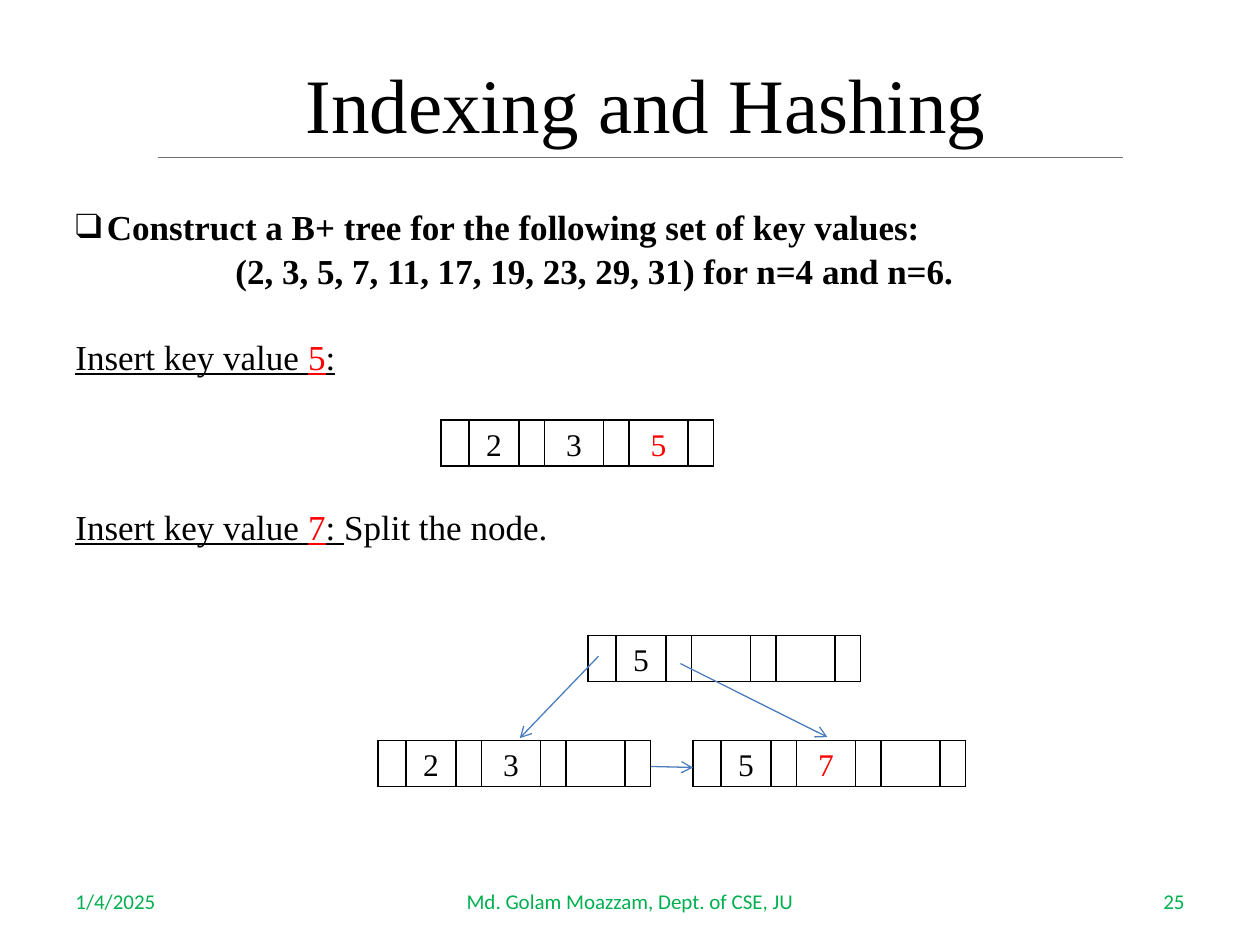
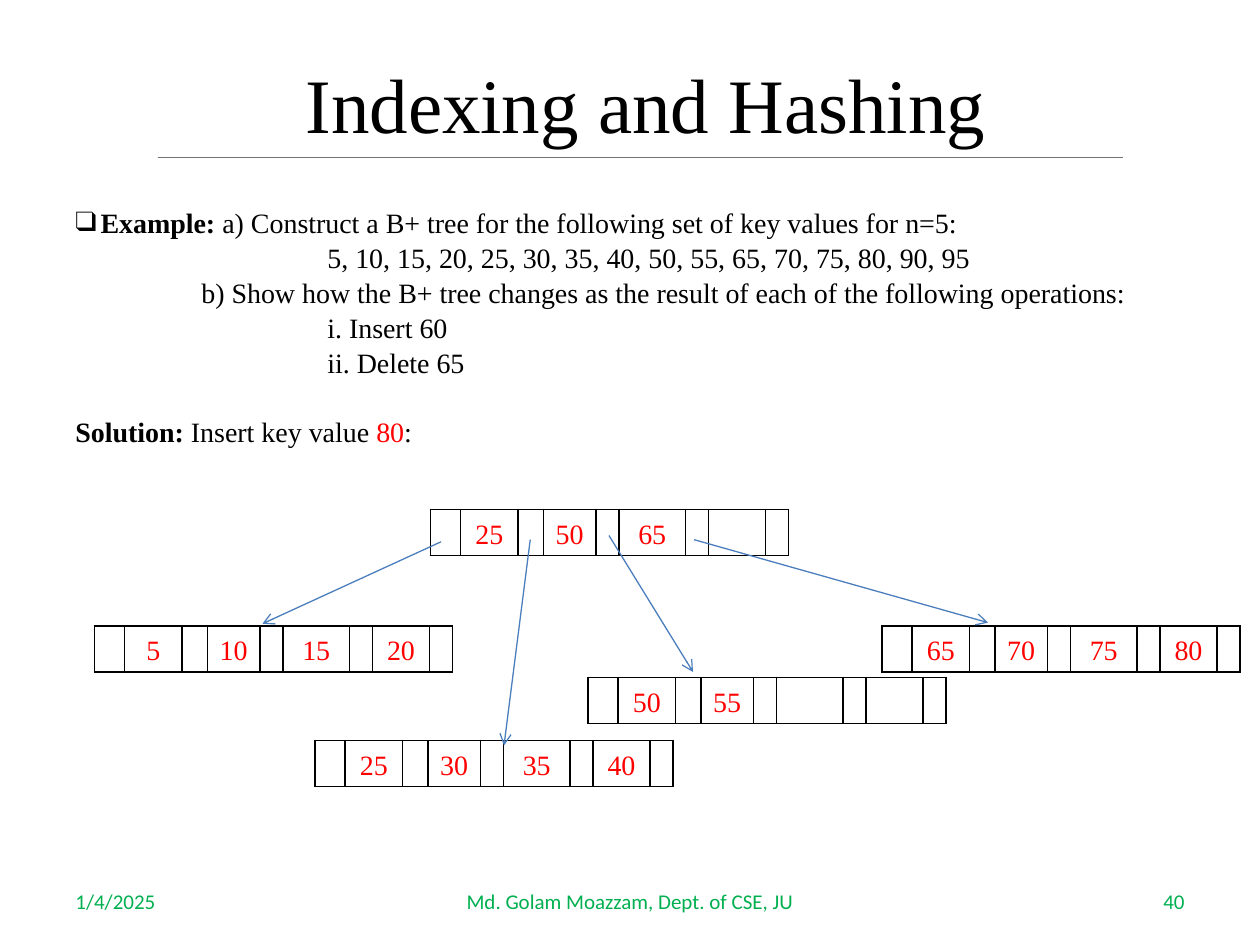
"""Build two B+ tree slides on a shared grid of twelfths of an inch."""
from dataclasses import dataclass

from lxml import etree
from pptx import Presentation
from pptx.dml.color import RGBColor
from pptx.enum.shapes import MSO_CONNECTOR
from pptx.enum.text import MSO_ANCHOR, PP_ALIGN
from pptx.oxml.ns import qn
from pptx.util import Emu, Inches, Pt

LEFT, CENTER, RIGHT = PP_ALIGN.LEFT, PP_ALIGN.CENTER, PP_ALIGN.RIGHT
TOP, MIDDLE = MSO_ANCHOR.TOP, MSO_ANCHOR.MIDDLE
STRAIGHT = MSO_CONNECTOR.STRAIGHT
COLUMNS, ROWS = 120, 90
SLIDE_WIDTH, SLIDE_HEIGHT = Inches(10), Inches(7.5)
TITLE = "Indexing and Hashing"
DATE = "1/4/2025"
AUTHOR = "Md. Golam Moazzam, Dept. of CSE, JU"
NODE_HEIGHT = 4.4


@dataclass(frozen=True)
class Theme:
    """Colours, fonts and sizes shared by the slides."""
    ink: RGBColor = RGBColor(0, 0, 0)
    accent: RGBColor = RGBColor(0xFF, 0, 0)
    footer: RGBColor = RGBColor(0, 0xB0, 0x50)
    rule: RGBColor = RGBColor(0x73, 0x73, 0x73)
    pointer: RGBColor = RGBColor(0x4B, 0x7E, 0xBC)
    serif: str = "Times New Roman"
    sans: str = "Calibri"
    title_size: int = 44
    footer_size: int = 12
    line_width: float = 0.75
    border_width: float = 1


THEME = Theme()


@dataclass(frozen=True)
class Box:
    """A rectangle in grid columns and rows."""
    column: float
    row: float
    width: float
    height: float


@dataclass(frozen=True)
class Span:
    """A piece of text with one look."""
    text: str
    bold: bool = False
    underline: bool = False
    accent: bool = False


@dataclass(frozen=True)
class Line:
    """A body paragraph: indent in inches and the number of lines skipped above it."""
    spans: tuple[Span, ...]
    indent: float = 0
    skipped: int = 0
    bullet: bool = False


@dataclass(frozen=True)
class Node:
    """A tree node, given by its corner and its keys."""
    column: float
    row: float
    keys: tuple[str, ...]
    accented: tuple[str, ...] = ()


@dataclass(frozen=True)
class Pointer:
    """An arrow between two grid points."""
    start: tuple[float, float]
    end: tuple[float, float]


@dataclass(frozen=True)
class Page:
    """Everything that differs between the slides."""
    number: str
    body_size: int
    key_size: int
    node_widths: tuple[float, ...]
    lines: tuple[Line, ...]
    nodes: tuple[Node, ...]
    pointers: tuple[Pointer, ...]


TITLE_BOX = Box(16, 4.5, 91, 10.5)
BODY_BOX = Box(6, 19, 108, 62)
RULE = Pointer((15, 15), (107, 15))

PAGES = (
    Page(
        "25", 20, 18, (2.65, 4.8, 2.4, 5.65, 2.4, 5.65, 2.4),
        (
            Line((Span("Construct a B+ tree for the following set of key values:", bold=True),),
                 indent=0.25, bullet=True),
            Line((Span("(2, 3, 5, 7, 11, 17, 19, 23, 29, 31) for n=4 and n=6.", bold=True),),
                 indent=1.27),
            Line((Span("Insert key value ", underline=True),
                  Span("5", underline=True, accent=True),
                  Span(":", underline=True)), skipped=1),
            Line((Span("Insert key value ", underline=True),
                  Span("7", underline=True, accent=True),
                  Span(": ", underline=True), Span("Split the node.")), skipped=3),
        ),
        (
            Node(42, 40, ("2", "3", "5"), ("5",)),
            Node(36, 70.5, ("2", "3", "")),
            Node(66, 70.5, ("5", "7", ""), ("7",)),
            Node(56, 60.5, ("5", "", "")),
        ),
        (
            Pointer((57, 62.5), (49.5, 70.3)),
            Pointer((64.8, 63.2), (78.8, 70.2)),
            Pointer((62, 73), (66, 73.1)),
        ),
    ),
    Page(
        "40", 16, 16, (2.85, 5.5, 2.4, 5, 2.2, 6.35, 2.2, 5.4, 2.2),
        (
            Line((Span("Example:", bold=True),
                  Span(" a) Construct a B+ tree for the following set of key values for n=5:")),
                 indent=0.2, bullet=True),
            Line((Span("5, 10, 15, 20, 25, 30, 35, 40, 50, 55, 65, 70, 75, 80, 90, 95"),),
                 indent=2),
            Line((Span("b) Show how the B+ tree changes as the result of each of the "
                       "following operations:"),), indent=1),
            Line((Span("i. Insert 60"),), indent=2),
            Line((Span("ii. Delete 65"),), indent=2),
            Line((Span("Solution: ", bold=True), Span("Insert key value "),
                  Span("80", accent=True), Span(":")), skipped=1),
        ),
        (
            Node(30, 70.5, ("25", "30", "35", "40"), ("25", "30", "35", "40")),
            Node(41, 48.5, ("25", "50", "65", ""), ("25", "50", "65")),
            Node(9, 59.6, ("5", "10", "15", "20"), ("5", "10", "15", "20")),
            Node(84, 59.6, ("65", "70", "75", "80"), ("65", "70", "75", "80")),
            Node(56, 64.5, ("50", "55", "", ""), ("50", "55")),
        ),
        (
            Pointer((42, 51.6), (25, 59.4)),
            Pointer((50.5, 51.4), (48, 71)),
            Pointer((66.1, 51.4), (94.1, 59.3)),
            Pointer((58, 51), (66, 64)),
        ),
    ),
)


def across(columns: float) -> Emu:
    """Turn grid columns into a length."""
    return Emu(round(SLIDE_WIDTH * columns / COLUMNS))


def down(rows: float) -> Emu:
    """Turn grid rows into a length."""
    return Emu(round(SLIDE_HEIGHT * rows / ROWS))


def place(box: Box) -> tuple[Emu, Emu, Emu, Emu]:
    """Give the left, top, width and height of a grid box."""
    return across(box.column), down(box.row), across(box.width), down(box.height)


def set_font(part, name: str, size: float, color: RGBColor) -> None:
    """Set the font of a paragraph."""
    part.font.name = name
    part.font.size = Pt(size)
    part.font.color.rgb = color


def add_text_frame(slide, box: Box, anchor):
    """Add a wrapping text box and return its frame."""
    frame = slide.shapes.add_textbox(*place(box)).text_frame
    frame.word_wrap = True
    frame.vertical_anchor = anchor
    return frame


def add_title(slide) -> None:
    """Place and format the title with the rule below it."""
    heading = slide.shapes.title
    heading.left, heading.top, heading.width, heading.height = place(TITLE_BOX)
    heading.text_frame.text = TITLE
    heading.text_frame.vertical_anchor = MIDDLE
    paragraph = heading.text_frame.paragraphs[0]
    paragraph.alignment = CENTER
    set_font(paragraph, THEME.serif, THEME.title_size, THEME.ink)
    add_line(slide, RULE, THEME.rule)


def add_footers(slide, number: str) -> None:
    """Add the date, the author and the slide number."""
    for text, column, width, alignment in (
        (DATE, 6, 28, LEFT), (number, 86, 28, RIGHT), (AUTHOR, 41, 38, CENTER),
    ):
        frame = add_text_frame(slide, Box(column, 83.4, width, 4.8), MIDDLE)
        frame.text = text
        paragraph = frame.paragraphs[0]
        paragraph.alignment = alignment
        set_font(paragraph, THEME.sans, THEME.footer_size, THEME.footer)


def add_body(slide, lines: tuple[Line, ...], size: int) -> None:
    """Write the task and its steps."""
    frame = add_text_frame(slide, BODY_BOX, TOP)
    for index, line in enumerate(lines):
        paragraph = frame.add_paragraph() if index else frame.paragraphs[0]
        properties = paragraph._p.get_or_add_pPr()
        properties.set("marL", str(Inches(line.indent)))
        if line.bullet:
            properties.set("indent", str(-Inches(line.indent)))
            etree.SubElement(properties, qn("a:buFont"), typeface=THEME.serif)
            etree.SubElement(properties, qn("a:buChar"), char="❑")
        if index:
            paragraph.space_before = Pt(size * (0.05 + 1.2 * line.skipped))
        set_font(paragraph, THEME.serif, size, THEME.ink)
        for span in line.spans:
            run = paragraph.add_run()
            run.text = span.text
            run.font.bold = span.bold
            run.font.underline = span.underline
            if span.accent:
                run.font.color.rgb = THEME.accent


def add_borders(cell) -> None:
    """Draw the four borders of a cell."""
    properties = cell._tc.get_or_add_tcPr()
    for position, side in enumerate(("a:lnL", "a:lnR", "a:lnT", "a:lnB")):
        border = etree.Element(qn(side), w=str(Pt(THEME.border_width)))
        fill = etree.SubElement(border, qn("a:solidFill"))
        etree.SubElement(fill, qn("a:srgbClr"), val=str(THEME.ink))
        properties.insert(position, border)


def add_node(slide, node: Node, page: Page) -> None:
    """Draw a tree node with its keys between pointer cells."""
    widths = page.node_widths
    box = Box(node.column, node.row, sum(widths), NODE_HEIGHT)
    table = slide.shapes.add_table(1, len(widths), *place(box)).table
    table.first_row = table.horz_banding = False
    for index, width in enumerate(widths):
        table.columns[index].width = across(width)
        cell = table.cell(0, index)
        cell.margin_left = cell.margin_right = Inches(0.07)
        cell.margin_top = cell.margin_bottom = 0
        cell.vertical_anchor = MIDDLE
        cell.fill.background()
        add_borders(cell)
        key = node.keys[index // 2] if index % 2 else ""
        cell.text = key
        paragraph = cell.text_frame.paragraphs[0]
        paragraph.alignment = CENTER
        paragraph.line_spacing = 1.15
        color = THEME.accent if key in node.accented else THEME.ink
        set_font(paragraph, THEME.serif, page.key_size, color)


def add_line(slide, pointer: Pointer, color: RGBColor, arrow: bool = False) -> None:
    """Draw a straight line, with an arrowhead at its end if asked."""
    (x1, y1), (x2, y2) = pointer.start, pointer.end
    line = slide.shapes.add_connector(STRAIGHT, across(x1), down(y1), across(x2), down(y2))
    line.line.color.rgb = color
    line.line.width = Pt(THEME.line_width)
    if arrow:
        etree.SubElement(line.line._get_or_add_ln(), qn("a:tailEnd"), type="arrow")
    etree.SubElement(line._element.spPr, qn("a:effectLst"))


def main() -> None:
    """Build and save the slides."""
    deck = Presentation()
    deck.slide_width, deck.slide_height = SLIDE_WIDTH, SLIDE_HEIGHT
    for page in PAGES:
        slide = deck.slides.add_slide(deck.slide_layouts[5])
        add_title(slide)
        add_body(slide, page.lines, page.body_size)
        add_footers(slide, page.number)
        for node in page.nodes:
            add_node(slide, node, page)
        for pointer in page.pointers:
            add_line(slide, pointer, THEME.pointer, arrow=True)
    deck.save("out.pptx")


if __name__ == "__main__":
    main()
